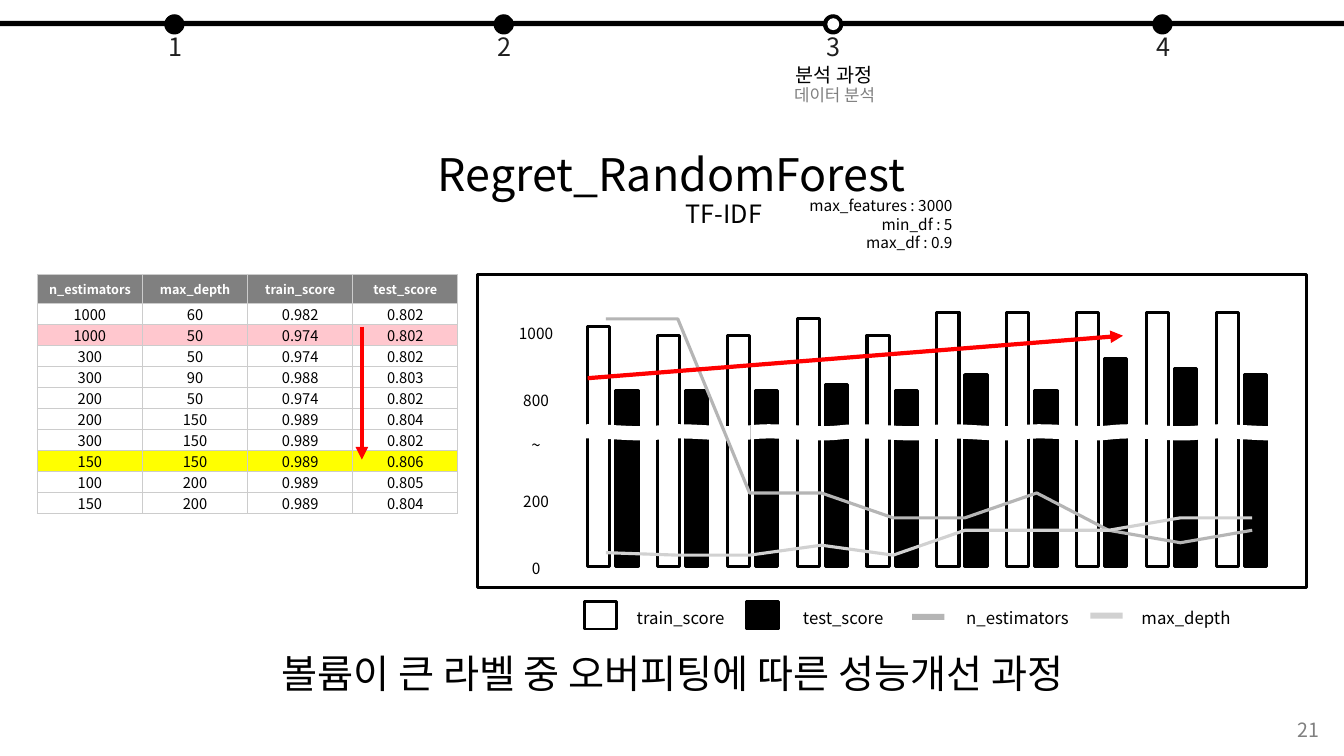
"""Build the Regret_RandomForest tuning slide with its table and combined chart."""
from lxml.etree import SubElement
from pptx import Presentation
from pptx.chart.data import CategoryChartData
from pptx.dml.color import RGBColor
from pptx.enum.chart import XL_CHART_TYPE as ChartType, XL_MARKER_STYLE as Marker
from pptx.enum.shapes import MSO_CONNECTOR as Connector, MSO_SHAPE as Shape
from pptx.enum.text import MSO_ANCHOR as Anchor, MSO_AUTO_SIZE as AutoSize, PP_ALIGN as Align
from pptx.oxml import parse_xml
from pptx.oxml.ns import nsdecls, qn
from pptx.util import Cm, Pt

FONT = "Noto Sans CJK KR"
rgb = RGBColor.from_string

presentation = Presentation()
presentation.slide_width, presentation.slide_height = Cm(33.87), Cm(19.05)
slide = presentation.slides.add_slide(presentation.slide_layouts[6])


def draw(kind, left, top, width, height, fill=None, line=None, weight=2):
    shape = slide.shapes.add_shape(kind, Cm(left), Cm(top), Cm(width), Cm(height))
    shape.shadow.inherit = False
    if fill:
        shape.fill.solid()
        shape.fill.fore_color.rgb = rgb(fill)
    else:
        shape.fill.background()
    if line:
        shape.line.color.rgb = rgb(line)
        shape.line.width = Pt(weight)
    else:
        shape.line.fill.background()


def write(frame, lines, size, colour="000000", align=Align.CENTER, bold=False):
    for index, text in enumerate(lines):
        paragraph = frame.paragraphs[0] if index == 0 else frame.add_paragraph()
        paragraph.alignment = align
        run = paragraph.add_run()
        run.text = text
        for name, value in {"name": FONT, "size": Pt(size), "bold": bold}.items():
            setattr(run.font, name, value)
        run.font.color.rgb = rgb(colour)
        SubElement(run._r.get_or_add_rPr(), qn("a:ea"), typeface=FONT)


draw(Shape.RECTANGLE, 0, 0.53, 33.87, 0.13, "000000")
for step in range(4):
    draw(Shape.OVAL, 4.14 + 8.3 * step, 0.36, 0.51, 0.51, "000000")
draw(Shape.OVAL, 20.85, 0.46, 0.3, 0.3, "FFFFFF")

BASELINE = 14.27
train_heights = [6.05, 5.82, 5.82, 6.25, 5.82, 6.4, 6.4, 6.4, 6.4, 6.4]
test_heights = [4.42, 4.42, 4.42, 4.57, 4.42, 4.83, 4.42, 5.23, 4.98, 4.83]
for index, (train, test) in enumerate(zip(train_heights, test_heights)):
    for left, height, fill in [(15.52, test, "000000"), (14.81, train, "FFFFFF")]:
        draw(Shape.RECTANGLE, left + 1.76 * index, BASELINE - height, 0.56, height, fill, "000000", 2.25)
for index in range(4):
    draw(Shape.DOUBLE_WAVE, 14.38 + 4.54 * index, 10.69, 4.54, 0.41, "FFFFFF")

chart_data = CategoryChartData()
chart_data.categories = [str(number) for number in range(1, 11)]
chart_data.add_series("Series 1", [None] * 10)
chart_data.add_series("Series 2", [None] * 10)
chart_data.add_series("Series 3", [100, 100, 30, 30, 20, 20, 30, 15, 10, 15])
chart_data.add_series("Series 4", [6, 5, 5, 9, 5, 15, 15, 15, 20, 20])
chart = slide.shapes.add_chart(
    ChartType.COLUMN_CLUSTERED, Cm(13.74), Cm(6.5), Cm(18.97), Cm(8.26), chart_data).chart
chart.has_legend = chart.has_title = False
chart.font.name, chart.font.size = FONT, Pt(10)
chart.font.color.rgb = rgb("000000")
chart.value_axis.minimum_scale, chart.value_axis.maximum_scale = 0, 120
chart.value_axis.has_major_gridlines = False
chart.value_axis.visible = chart.category_axis.visible = False

bar_plot = chart._chartSpace.find(".//" + qn("c:barChart"))
line_plot = parse_xml(f'<c:lineChart {nsdecls("c")}><c:grouping val="standard"/><c:varyColors val="0"/></c:lineChart>')
for series in bar_plot.findall(qn("c:ser"))[2:]:
    for flag in series.findall(qn("c:invertIfNegative")):
        series.remove(flag)
    line_plot.append(series)
SubElement(line_plot, qn("c:marker"), val="1")
for axis in bar_plot.findall(qn("c:axId")):
    SubElement(line_plot, qn("c:axId"), val=axis.get("val"))
bar_plot.addnext(line_plot)
plot_area = bar_plot.getparent()
layout = parse_xml(f'<c:layout {nsdecls("c")}><c:manualLayout/></c:layout>')
for tag, value in {"layoutTarget": "inner", "xMode": "edge", "yMode": "edge",
                   "x": "0.033", "y": "0.034", "w": "0.954", "h": "0.911"}.items():
    SubElement(layout[0], qn("c:" + tag), val=value)
for old_layout in plot_area.findall(qn("c:layout")):
    plot_area.remove(old_layout)
plot_area.insert(0, layout)
clear = f'<c:spPr {nsdecls("c", "a")}><a:noFill/><a:ln><a:noFill/></a:ln></c:spPr>'
plot_area.append(parse_xml(clear))
plot_area.getparent().addnext(parse_xml(clear))

columns, lines = chart.plots
columns.vary_by_categories = False
for series, colour in zip(columns.series, ["828282", "9B9B9B"]):
    series.format.fill.solid()
    series.format.fill.fore_color.rgb = rgb(colour)
for series, colour in zip(lines.series, ["B5B5B5", "D1D1D1"]):
    series.smooth = False
    series.marker.style = Marker.NONE
    series.format.line.width = Pt(2.25)
    series.format.line.color.rgb = rgb(colour)

draw(Shape.RECTANGLE, 12.04, 6.91, 20.88, 7.9, None, "000000")
draw(Shape.RECTANGLE, 14.73, 15.16, 0.81, 0.69, None, "000000")
draw(Shape.RECTANGLE, 18.82, 15.16, 0.81, 0.69, "000000", "000000")
draw(Shape.RECTANGLE, 22.99, 15.47, 0.81, 0.15, "B5B5B5")
draw(Shape.RECTANGLE, 27.48, 15.44, 0.81, 0.15, "D1D1D1")

labels = [
    (["분석 과정"], 19.74, 1.47, 2.57, 0.86, False, {"size": 14}),
    (["데이터 분석"], 19.69, 2.01, 2.69, 0.76, False, {"size": 12, "colour": "808080"}),
    (["1000", "800", "200", "0"], 12.75, 7.65, 1.52, 7.01, True, {"size": 11}),
    (["~"], 13.13, 10.82, 0.76, 0.76, False, {"size": 12}),
    (["train_score"], 15.54, 15.19, 3.23, 0.76, False, {"size": 12}),
    (["test_score"], 19.74, 15.19, 3.02, 0.76, False, {"size": 12}),
    (["n_estimators"], 23.83, 15.19, 3.63, 0.76, False, {"size": 12}),
    (["max_depth"], 28.3, 15.19, 3.18, 0.76, False, {"size": 12}),
    (["Regret_RandomForest"], 9.45, 3.56, 14.96, 1.63, False, {"size": 32}),
    (["TF-IDF"], 16.76, 4.88, 2.97, 1.02, False, {"size": 18}),
    (["max_features : 3000", "min_df : 5", "max_df : 0.9"], 19.51, 4.83, 4.75, 1.68, False,
     {"size": 11, "align": Align.RIGHT}),
    (["21"], 32.11, 17.96, 1.4, 0.86, True, {"size": 14, "colour": "808080", "align": Align.RIGHT}),
    (["볼륨이 큰 라벨 중 오버피팅에 따른 성능개선 과정"], 2.72, 16.23, 28.45, 1.45, True, {"size": 28}),
]
for step in range(4):
    labels.append(([str(step + 1)], 3.99 + 8.3 * step, 0.66, 0.79, 1.02, True, {"size": 18}))
for texts, left, top, width, height, wrap, style in labels:
    box = slide.shapes.add_textbox(Cm(left), Cm(top), Cm(width), Cm(height))
    box.text_frame.word_wrap = wrap
    box.text_frame.auto_size = AutoSize.SHAPE_TO_FIT_TEXT
    write(box.text_frame, texts, **style)
    if style["size"] == 18 and wrap:
        for colour in box._element.iter(qn("a:srgbClr")):
            SubElement(colour, qn("a:alpha"), val="87000")
    if texts[0] == "1000":
        for paragraph, gap in zip(box.text_frame.paragraphs, [0, 24, 48, 24]):
            paragraph.line_spacing = Pt(24)
            paragraph.space_before = Pt(gap)

rows = [
    ("n_estimators", "max_depth", "train_score", "test_score"),
    ("1000", "60", "0.982", "0.802"),
    ("1000", "50", "0.974", "0.802"),
    ("300", "50", "0.974", "0.802"),
    ("300", "90", "0.988", "0.803"),
    ("200", "50", "0.974", "0.802"),
    ("200", "150", "0.989", "0.804"),
    ("300", "150", "0.989", "0.802"),
    ("150", "150", "0.989", "0.806"),
    ("100", "200", "0.989", "0.805"),
    ("150", "200", "0.989", "0.804"),
]
row_fills = {0: "808080", 2: "FFC7CE", 8: "FFFF00"}
cell_format = {"margin_left": Cm(0.08), "margin_right": Cm(0.08), "margin_top": 0,
               "margin_bottom": 0, "vertical_anchor": Anchor.MIDDLE}
table = slide.shapes.add_table(len(rows), 4, Cm(0.94), Cm(6.91), Cm(10.6), Cm(6.04)).table
table.horz_banding = table.first_row = False
for column in table.columns:
    column.width = Cm(2.65)
for index, values in enumerate(rows):
    table.rows[index].height = Cm(0.53 if index else 0.74)
    for position, value in enumerate(values):
        cell = table.cell(index, position)
        for name, setting in cell_format.items():
            setattr(cell, name, setting)
        write(cell.text_frame, [value], 10.5 if index else 9, "000000" if index else "FFFFFF", bold=index == 0)
        for side in ("lnL", "lnR", "lnT", "lnB"):
            cell._tc.get_or_add_tcPr().append(parse_xml(
                f'<a:{side} {nsdecls("a")} w="9525"><a:solidFill><a:srgbClr val="CCCCCC"/></a:solidFill></a:{side}>'))
        cell.fill.solid()
        cell.fill.fore_color.rgb = rgb(row_fills.get(index, "FFFFFF"))

for ends in [(14.81, 9.53, 28.3, 8.46), (9.12, 8.23, 9.12, 11.58)]:
    arrow = slide.shapes.add_connector(Connector.STRAIGHT, *map(Cm, ends))
    arrow.line.color.rgb = rgb("FF0000")
    arrow.line.width = Pt(3)
    properties = arrow._element.spPr
    SubElement(properties.find(qn("a:ln")), qn("a:tailEnd"), type="triangle")
    SubElement(properties, qn("a:effectLst"))

presentation.save("out.pptx")
